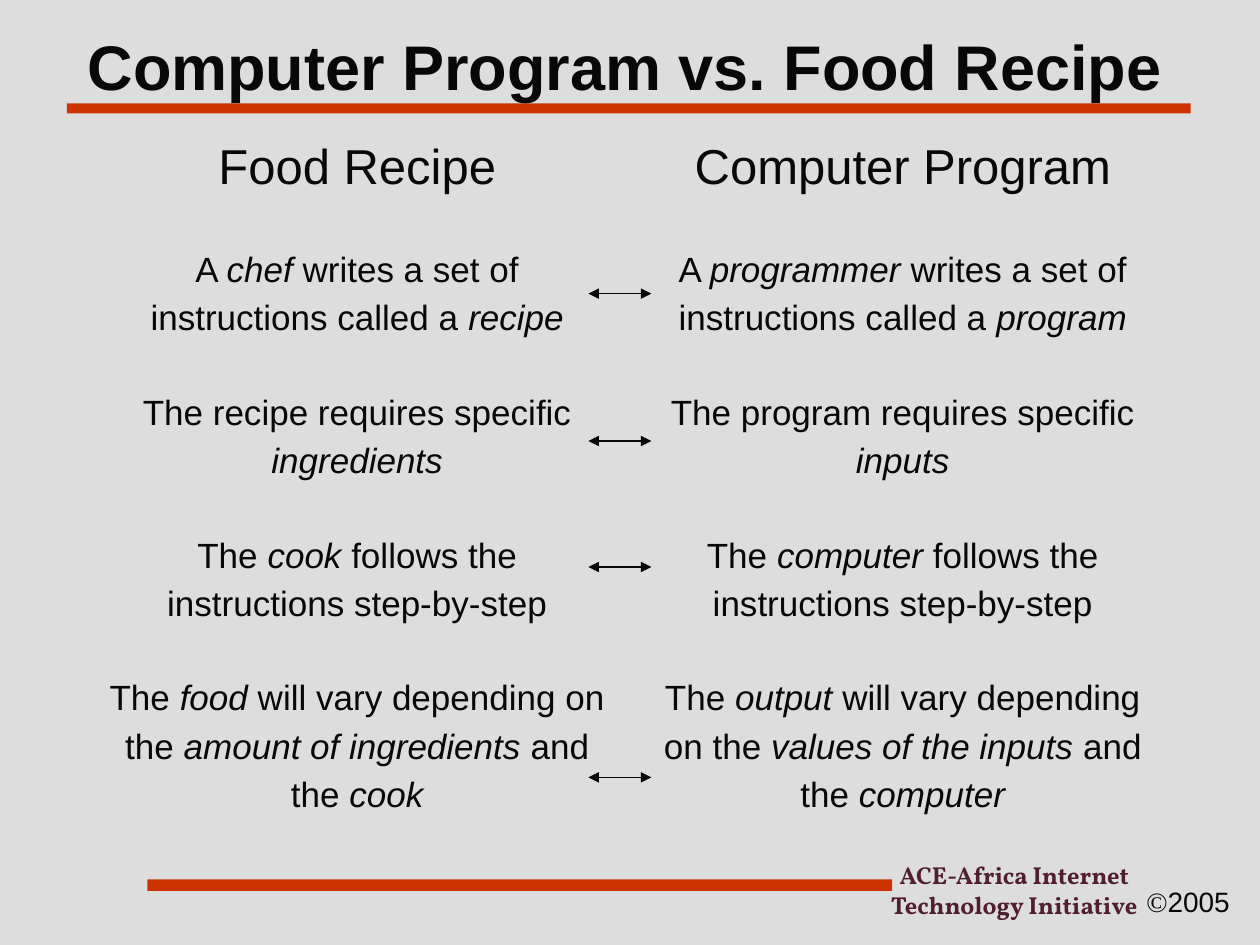
from dataclasses import dataclass

from lxml import etree
from pptx import Presentation, util as u
from pptx.dml.color import RGBColor
from pptx.enum import shapes, text
from pptx.oxml import ns


@dataclass(frozen=True)
class Theme:
    background: str = "DDDDDD"
    ink: str = "080808"
    accent: str = "CC3300"
    credit: str = "511D30"
    font: str = "Arial"
    symbol_font: str = "Times New Roman"
    credit_font: str = "Vollkorn"
    title_size: int = 36
    heading_size: int = 28
    body_size: int = 20
    note_size: int = 16
    credit_size: int = 14
    line_spacing: float = 0.9
    heading_space: float = 8
    line_space: float = 5.9
    group_space: float = 32.5


# Each column is a heading and groups of lines; asterisks enclose italics
RECIPE = ("Food Recipe", [
    ["A *chef* writes a set of", "instructions called a *recipe*"],
    ["The recipe requires specific", "*ingredients*"],
    ["The *cook* follows the", "instructions step-by-step"],
    ["The *food* will vary depending on", "the *amount of ingredients* and",
     "the *cook*"],
])
PROGRAM = ("Computer Program", [
    ["A *programmer* writes a set of", "instructions called a *program*"],
    ["The program requires specific", "*inputs*"],
    ["The *computer* follows the", "instructions step-by-step"],
    ["The *output* will vary depending", "on the *values of the inputs* and",
     "the *computer*"],
])
ARROW_HEIGHTS = [2.33, 3.5, 4.5, 6.17]


class SlideBuilder:
    def __init__(self, slide, theme):
        self.slide = slide
        self.theme = theme
        fill = slide.background.fill
        fill.solid()
        fill.fore_color.rgb = RGBColor.from_string(theme.background)

    def style(self, run, size, font=None, color=None, bold=False, italic=False):
        run.font.size = u.Pt(size)
        run.font.name = font or self.theme.font
        run.font.color.rgb = RGBColor.from_string(color or self.theme.ink)
        run.font.bold = bold
        run.font.italic = italic

    def bar(self, left, top, width, height):
        bar = self.slide.shapes.add_shape(
            shapes.MSO_SHAPE.RECTANGLE, *map(u.Inches, (left, top, width, height)))
        bar.shadow.inherit = False
        bar.fill.solid()
        bar.fill.fore_color.rgb = RGBColor.from_string(self.theme.accent)
        bar.line.fill.background()

    def label(self, left, top, width, height, wrap):
        box = self.slide.shapes.add_textbox(
            *map(u.Inches, (left, top, width, height)))
        box.text_frame.word_wrap = wrap
        return box.text_frame.paragraphs[0]

    def placeholder(self, index, left, top, width, height):
        shape = self.slide.placeholders[index]
        shape.left, shape.top, shape.width, shape.height = map(
            u.Inches, (left, top, width, height))
        shape.text_frame.auto_size = text.MSO_AUTO_SIZE.NONE
        # Bring the text in front of the bars
        self.slide.shapes._spTree.append(shape._element)
        return shape.text_frame

    def title(self, wording, *place):
        frame = self.placeholder(0, *place)
        frame.vertical_anchor = text.MSO_ANCHOR.MIDDLE
        frame.text = wording
        paragraph = frame.paragraphs[0]
        paragraph.alignment = text.PP_ALIGN.CENTER
        self.style(paragraph.runs[0], self.theme.title_size, bold=True)

    def column_line(self, paragraph, wording, size, space_before):
        paragraph.alignment = text.PP_ALIGN.CENTER
        paragraph.line_spacing = self.theme.line_spacing
        paragraph.space_before = u.Pt(space_before)
        properties = paragraph._p.get_or_add_pPr()
        properties.set("marL", "0")
        properties.set("indent", "0")
        etree.SubElement(properties, ns.qn("a:buNone"))
        for position, part in enumerate(wording.split("*")):
            if part:
                run = paragraph.add_run()
                run.text = part
                self.style(run, size, italic=position % 2 == 1)

    def column(self, index, content, *place):
        heading, groups = content
        theme = self.theme
        frame = self.placeholder(index, *place)
        self.column_line(frame.paragraphs[0], heading,
                         theme.heading_size, theme.heading_space)
        for group in groups:
            for number, line in enumerate(group):
                space = theme.line_space if number else theme.group_space
                self.column_line(frame.add_paragraph(), line,
                                 theme.body_size, space)

    def double_arrow(self, left, right, height):
        arrow = self.slide.shapes.add_connector(
            shapes.MSO_CONNECTOR.STRAIGHT,
            *map(u.Inches, (left, height, right, height)))
        arrow.line.color.rgb = RGBColor.from_string(self.theme.ink)
        arrow.line.width = u.Pt(0.75)
        line = arrow.line._get_or_add_ln()
        for end in ("a:headEnd", "a:tailEnd"):
            etree.SubElement(line, ns.qn(end), type="triangle")
        etree.SubElement(arrow._element.spPr, ns.qn("a:effectLst"))


def main():
    presentation = Presentation()
    presentation.slide_width = u.Inches(10)
    presentation.slide_height = u.Inches(7.5)
    theme = Theme()
    slide = presentation.slides.add_slide(presentation.slide_layouts[3])
    builder = SlideBuilder(slide, theme)

    # Footer
    copyright_line = builder.label(9, 6.97, 0.86, 0.37, wrap=False)
    for wording, font in (("©", theme.symbol_font), ("2005", theme.font)):
        run = copyright_line.add_run()
        run.text = wording
        builder.style(run, theme.note_size, font)
    credit = builder.label(6.57, 6.78, 2.96, 0.57, wrap=True)
    credit.text = "ACE-Africa Internet Technology Initiative"
    credit.alignment = text.PP_ALIGN.CENTER
    builder.style(credit.runs[0], theme.credit_size, theme.credit_font,
                  theme.credit, bold=True)
    builder.bar(1.17, 6.98, 5.91, 0.09)

    # Title and its rule
    builder.bar(0.53, 0.82, 8.92, 0.08)
    builder.title("Computer Program vs. Food Recipe", 0.5, 0.17, 8.92, 0.7)

    # Compared columns
    builder.column(1, RECIPE, 0.75, 1.08, 4.17, 5.58)
    builder.column(2, PROGRAM, 5.08, 1.08, 4.17, 5.58)

    # Arrows between matching statements
    for height in ARROW_HEIGHTS:
        builder.double_arrow(4.67, 5.17, height)

    presentation.save("out.pptx")


if __name__ == "__main__":
    main()
